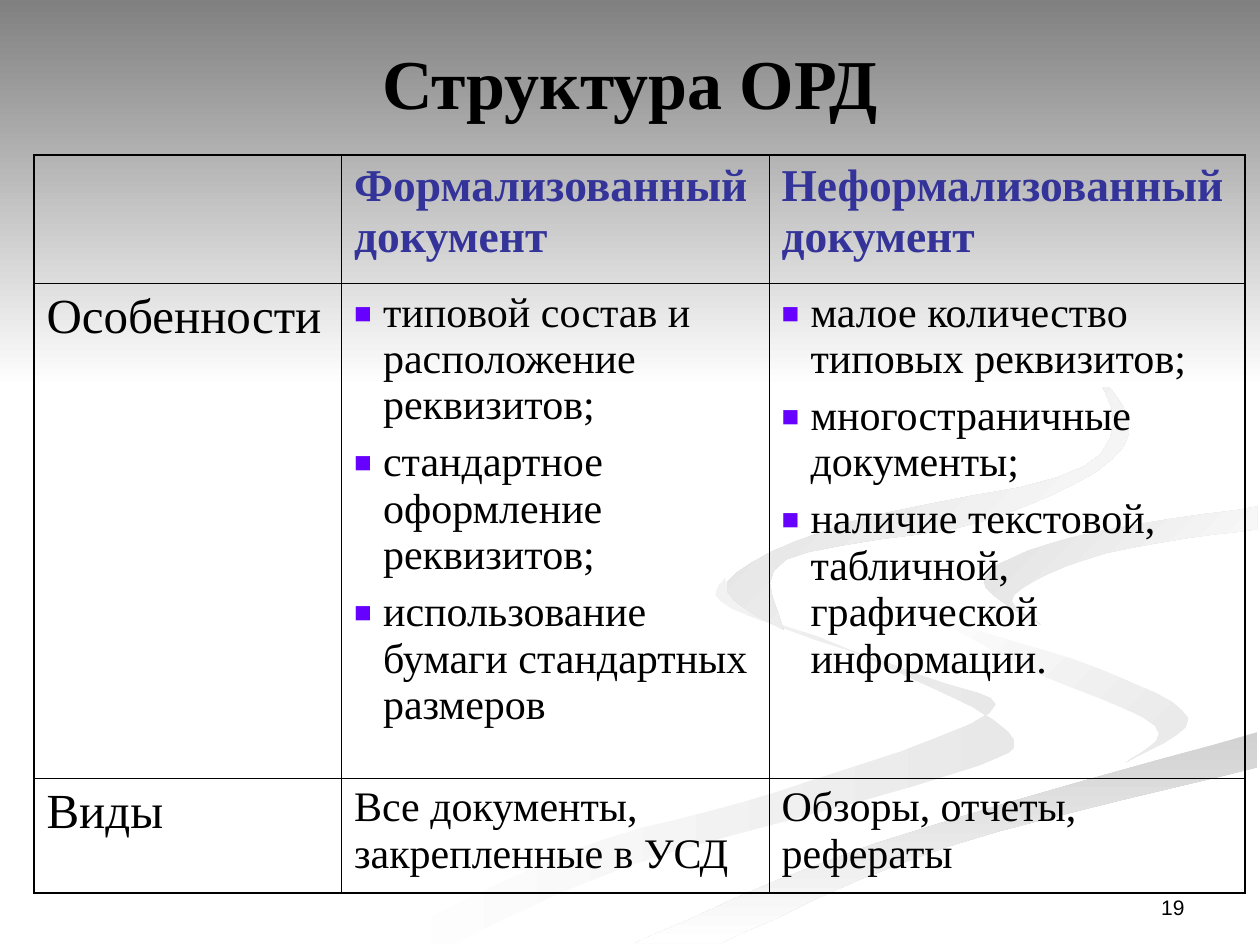
from dataclasses import dataclass

from lxml import etree
from pptx import Presentation
from pptx import util as u
from pptx.dml.color import RGBColor
from pptx.enum import text
from pptx.oxml.ns import qn


@dataclass(frozen=True)
class Theme:
    ink: str = "000000"
    heading: str = "333399"
    bullet: str = "6600FF"
    paper: str = "FFFFFF"
    band: str = "808080"
    serif: str = "Times New Roman"
    sans: str = "Arial"
    title_size: float = 40
    label_size: float = 28
    heading_size: float = 26
    body_size: float = 24
    number_size: float = 12
    outer_line: float = 1.08
    inner_line: float = 0.45


THEME = Theme()
WIDTH, HEIGHT = 10, 7.5
UNIT = 0.01  # inches per step of the ribbon coordinates
CURVE_STEPS = 6

# Ribbons: start colour, end colour, gradient angle, then the two edges,
# each a smooth curve through a few points
RIBBONS = [
    (THEME.paper, "E8E8E8", 0,
     [(575, 459), (581, 483), (728, 535), (785, 566), (616, 629), (458, 674), (300, 749)],
     [(361, 749), (499, 687), (756, 614), (800, 581), (682, 519), (594, 485), (575, 459)]),
    (THEME.paper, "E8E8E8", 45,
     [(724, 464), (745, 490), (870, 530), (943, 570), (894, 605)],
     [(894, 605), (917, 576), (815, 530), (733, 483), (724, 464)]),
    ("D1D1D1", THEME.paper, 90,
     [(503, 749), (696, 669), (998, 581)],
     [(998, 609), (752, 672), (571, 749)]),
    ("E0E0E0", THEME.paper, 45,
     [(998, 402), (849, 427), (781, 460), (826, 496)],
     [(826, 496), (805, 472), (878, 439), (998, 420)]),
    ("D8D8D8", THEME.paper, 45,
     [(762, 233), (864, 291), (892, 354), (786, 412), (624, 444), (622, 500)],
     [(622, 500), (577, 462), (676, 414), (861, 370), (870, 299), (762, 233)]),
]
BAND_SHARE = 0.41

# Each cell is a list of paragraphs
ROWS = [
    [[], ["Формализованный документ"], ["Неформализованный документ"]],
    [["Особенности"],
     ["типовой состав и расположение реквизитов;",
      "стандартное оформление реквизитов;",
      "использование бумаги стандартных размеров"],
     ["малое количество типовых реквизитов;",
      "многостраничные документы;",
      "наличие текстовой, табличной, графической информации."]],
    [["Виды"], ["Все документы, закрепленные в УСД"], ["Обзоры, отчеты, рефераты"]],
]
COLUMN_SHARES = [0.254, 0.353, 0.393]
ROW_SHARES = [0.174, 0.67, 0.156]


def inches(box):
    return [u.Inches(value) for value in box]


def format_paragraph(paragraph, size, font=THEME.serif, color=THEME.ink, bold=False):
    for run in paragraph.runs:
        run.font.size = u.Pt(size)
        run.font.name = font
        run.font.bold = bold
        run.font.color.rgb = RGBColor.from_string(color)


def smooth(points):
    """Catmull-Rom curve through the points."""
    padded = [points[0], *points, points[-1]]
    curve = []
    for a, b, c, d in zip(padded, padded[1:], padded[2:], padded[3:]):
        for step in range(CURVE_STEPS):
            t = step / CURVE_STEPS
            curve.append(tuple(
                q + t / 2 * (r - p + t * (2 * p - 5 * q + 4 * r - s
                                          + t * (3 * (q - r) + s - p)))
                for p, q, r, s in zip(a, b, c, d)))
    return curve + [points[-1]]


def add_gradient_outline(slide, points, start, end, angle):
    builder = slide.shapes.build_freeform(*points[0], scale=u.Inches(UNIT))
    builder.add_line_segments(points[1:], close=True)
    shape = builder.convert_to_shape()
    shape.shadow.inherit = False
    shape.line.fill.background()
    shape.fill.gradient()
    shape.fill.gradient_angle = (360 - angle) % 360
    for stop, color in zip(shape.fill.gradient_stops, (start, end)):
        stop.color.rgb = RGBColor.from_string(color)


def add_backdrop(slide):
    for start, end, angle, *edges in RIBBONS:
        outline = [point for edge in edges for point in smooth(edge)]
        add_gradient_outline(slide, outline, start, end, angle)
    right, bottom = WIDTH / UNIT, HEIGHT * BAND_SHARE / UNIT
    band = [(0, 0), (0, bottom), (right, bottom), (right, 0)]
    add_gradient_outline(slide, band, THEME.band, THEME.paper, 90)


def add_title(slide, box):
    title = slide.shapes.title
    title.left, title.top, title.width, title.height = inches(box)
    title.text_frame.text = "Структура ОРД"
    title.text_frame.vertical_anchor = text.MSO_ANCHOR.MIDDLE
    paragraph = title.text_frame.paragraphs[0]
    paragraph.alignment = text.PP_ALIGN.CENTER
    format_paragraph(paragraph, THEME.title_size, bold=True)
    slide.shapes.element.append(title.element)  # bring in front of the backdrop


def add_bullet(paragraph):
    properties = paragraph._p.get_or_add_pPr()
    properties.set("marL", str(u.Inches(0.23)))
    properties.set("indent", str(-u.Inches(0.23)))
    color = etree.SubElement(properties, qn("a:buClr"))
    etree.SubElement(color, qn("a:srgbClr"), val=THEME.bullet)
    etree.SubElement(properties, qn("a:buSzPct"), val="70000")
    etree.SubElement(properties, qn("a:buFont"), typeface=THEME.sans)
    etree.SubElement(properties, qn("a:buChar"), char="■")


def set_borders(cell, outer_sides):
    properties = cell._tc.get_or_add_tcPr()
    for side in "LRTB":
        weight = THEME.outer_line if side in outer_sides else THEME.inner_line
        line = etree.SubElement(properties, qn("a:ln" + side), w=str(u.Pt(weight)))
        fill = etree.SubElement(line, qn("a:solidFill"))
        etree.SubElement(fill, qn("a:srgbClr"), val=THEME.ink)


def fill_cell(cell, lines, row, column):
    if row == 0:
        size, color = THEME.heading_size, THEME.heading
    else:
        size, color = (THEME.body_size if column else THEME.label_size), THEME.ink
    cell.text_frame.text = "\n".join(lines)
    for paragraph in cell.text_frame.paragraphs:
        paragraph.space_before = u.Pt(size / 4)
        format_paragraph(paragraph, size, color=color, bold=row == 0)
        if len(lines) > 1:
            add_bullet(paragraph)


def add_comparison_table(slide, box):
    last_row, last_column = len(ROWS) - 1, len(COLUMN_SHARES) - 1
    frame = slide.shapes.add_table(last_row + 1, last_column + 1, *inches(box))
    table = frame.table
    table.first_row = table.horz_banding = False
    for column, share in zip(table.columns, COLUMN_SHARES):
        column.width = u.Inches(box[2] * share)
    for row, share in zip(table.rows, ROW_SHARES):
        row.height = u.Inches(box[3] * share)
    for i, contents in enumerate(ROWS):
        for j, lines in enumerate(contents):
            cell = table.cell(i, j)
            edges = {"L": j == 0, "R": j == last_column, "T": i == 0, "B": i == last_row}
            set_borders(cell, [side for side, outer in edges.items() if outer])
            cell.fill.background()
            fill_cell(cell, lines, i, j)


def add_slide_number(slide, box):
    frame = slide.shapes.add_textbox(*inches(box)).text_frame
    frame.word_wrap = True
    frame.vertical_anchor = text.MSO_ANCHOR.BOTTOM
    frame.text = "19"
    frame.paragraphs[0].alignment = text.PP_ALIGN.RIGHT
    format_paragraph(frame.paragraphs[0], THEME.number_size, THEME.sans)


def main():
    presentation = Presentation()
    presentation.slide_width, presentation.slide_height = inches((WIDTH, HEIGHT))
    slide = presentation.slides.add_slide(presentation.slide_layouts[5])
    add_backdrop(slide)
    add_slide_number(slide, (7.17, 6.83, 2.33, 0.52))
    add_title(slide, (0.5, 0.21, 9, 0.87))
    add_comparison_table(slide, (0.27, 1.23, 9.61, 5.86))
    presentation.save("out.pptx")


if __name__ == "__main__":
    main()
